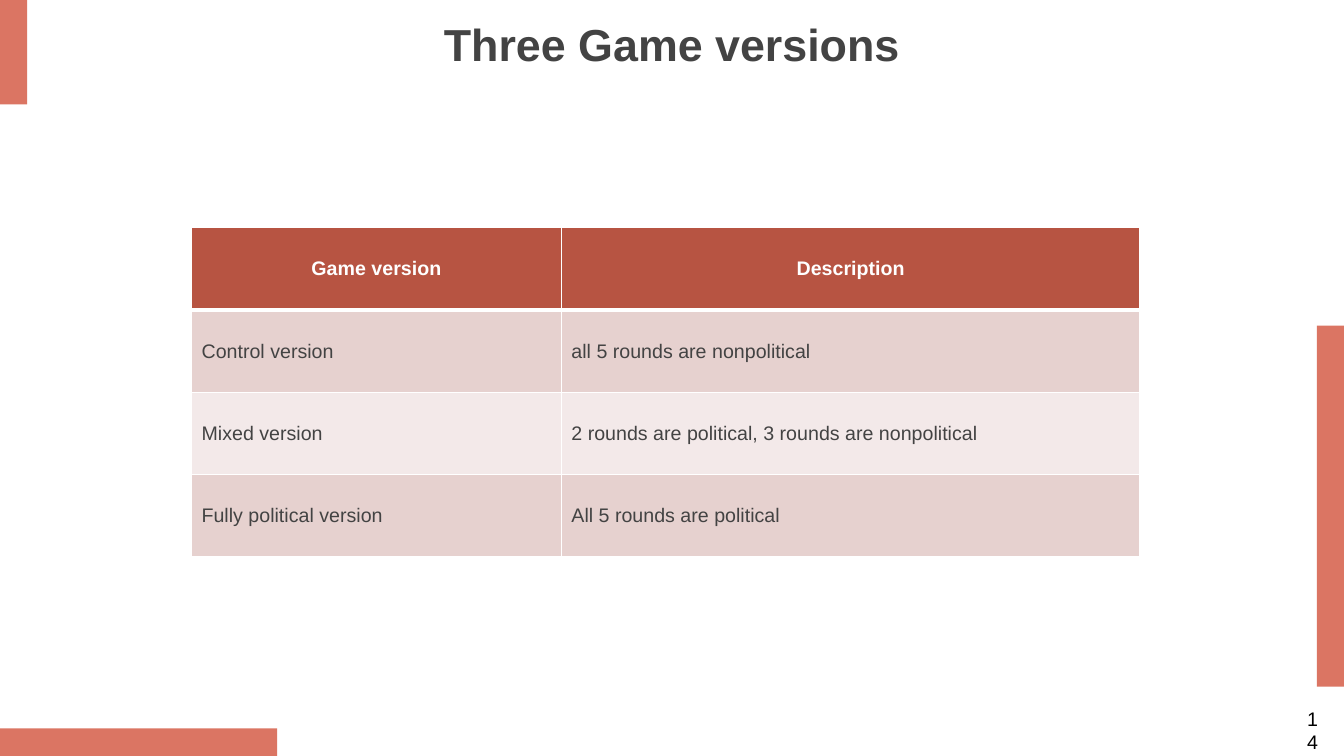
"""Build the slide that describes the three game versions in a table."""
import lxml.etree
import pptx
import pptx.dml.color
import pptx.enum.shapes
import pptx.enum.text
import pptx.oxml.ns
import pptx.util

Pt = pptx.util.Pt
ALIGN = pptx.enum.text.PP_ALIGN
ANCHOR = pptx.enum.text.MSO_ANCHOR
THEME = {
    "font": "Arial",
    "accent": "DB7563", "header": "B75442", "bands": ("E6D1CF", "F3E9E9"),
    "text": "434343", "white": "FFFFFF", "black": "000000",
    "title_size": 32, "body_size": 14,
}


def color(value):
    return pptx.dml.color.RGBColor.from_string(value)


def write(frame, text, size, text_color, bold=False, align=ALIGN.LEFT):
    paragraph = frame.paragraphs[0]
    paragraph.alignment = align
    run = paragraph.add_run()
    run.text = text
    run.font.color.rgb = color(text_color)
    formats = {"name": THEME["font"], "size": Pt(size), "bold": bold}
    for name, value in formats.items():
        setattr(run.font, name, value)


presentation = pptx.Presentation()
presentation.slide_width = Pt(960)
presentation.slide_height = Pt(540)
slide = presentation.slides.add_slide(presentation.slide_layouts[6])

BARS = [
    (0, 0, 19.4, 74.6),
    (0, 520.2, 198, 19.8),
    (940.6, 232.6, 19.4, 257.8),
]
for bar in BARS:
    shape = slide.shapes.add_shape(
        pptx.enum.shapes.MSO_SHAPE.RECTANGLE, *map(Pt, bar))
    shape.shadow.inherit = False
    shape.fill.solid()
    shape.fill.fore_color.rgb = color(THEME["accent"])
    shape.line.fill.background()

title_frame = slide.shapes.add_textbox(Pt(0), Pt(0.7), Pt(960), Pt(60.5)).text_frame
title_format = {"word_wrap": True, "vertical_anchor": ANCHOR.MIDDLE,
                "margin_top": Pt(7.2), "margin_bottom": Pt(7.2)}
for name, value in title_format.items():
    setattr(title_frame, name, value)
write(title_frame, "Three Game versions", THEME["title_size"], THEME["text"],
      True, ALIGN.CENTER)

number_frame = slide.shapes.add_textbox(
    Pt(926.6), Pt(501.1), Pt(22.3), Pt(24.5)).text_frame
number_frame.word_wrap = True
write(number_frame, "14", THEME["body_size"], THEME["black"])

ROWS = [
    ("Game version", "Description"),
    ("Control version", "all 5 rounds are nonpolitical"),
    ("Mixed version", "2 rounds are political, 3 rounds are nonpolitical"),
    ("Fully political version", "All 5 rounds are political"),
]
COLUMN_WIDTHS = (264.2, 413.3)
ROW_HEIGHT = 58.8
table = slide.shapes.add_table(
    len(ROWS), len(COLUMN_WIDTHS), Pt(136.8), Pt(162.7),
    Pt(sum(COLUMN_WIDTHS)), Pt(ROW_HEIGHT * len(ROWS))).table
for column, width in zip(table.columns, COLUMN_WIDTHS):
    column.width = Pt(width)

for row_index, texts in enumerate(ROWS):
    table.rows[row_index].height = Pt(ROW_HEIGHT)
    is_header = row_index == 0
    fill = THEME["header"] if is_header else THEME["bands"][(row_index - 1) % 2]
    border_widths = {"lnL": 1, "lnR": 1, "lnT": 3 if row_index == 1 else 1,
                     "lnB": 3 if is_header else 1}
    for column_index, text in enumerate(texts):
        cell = table.cell(row_index, column_index)
        cell.vertical_anchor = ANCHOR.MIDDLE
        properties = cell._tc.get_or_add_tcPr()
        for side, width in border_widths.items():
            border = lxml.etree.SubElement(
                properties, pptx.oxml.ns.qn(f"a:{side}"), w=str(Pt(width)))
            solid = lxml.etree.SubElement(border, pptx.oxml.ns.qn("a:solidFill"))
            lxml.etree.SubElement(
                solid, pptx.oxml.ns.qn("a:srgbClr"), val=THEME["white"])
        cell.fill.solid()
        cell.fill.fore_color.rgb = color(fill)
        write(cell.text_frame, text, THEME["body_size"],
              THEME["white"] if is_header else THEME["text"], is_header,
              ALIGN.CENTER if is_header else ALIGN.LEFT)

presentation.save("out.pptx")
